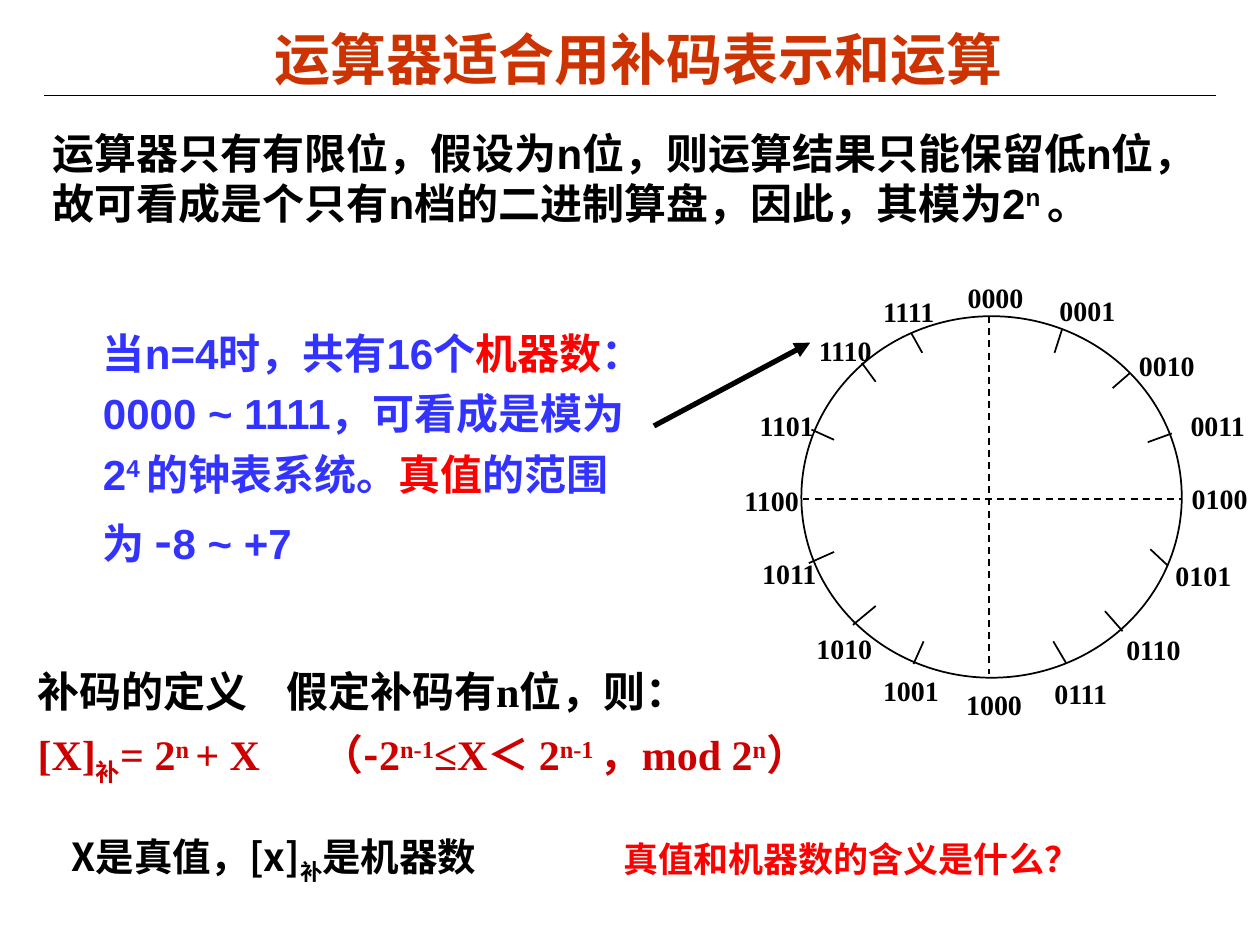
from lxml import etree
from pptx import Presentation
from pptx.dml.color import RGBColor
from pptx.enum.dml import MSO_LINE
from pptx.enum.shapes import MSO_CONNECTOR, MSO_SHAPE
from pptx.enum.text import MSO_ANCHOR, PP_ALIGN
from pptx.oxml.ns import qn
from pptx.util import Pt

STRAIGHT = MSO_CONNECTOR.STRAIGHT
OVAL = MSO_SHAPE.OVAL
DASH = MSO_LINE.DASH
CENTER = PP_ALIGN.CENTER
MIDDLE = MSO_ANCHOR.MIDDLE

SANS = "Arial"
SERIF = "Times New Roman"
CHINESE = "Noto Sans CJK SC"
BLACK, RED, BLUE = "000000", "FF0000", "3333FF"
TITLE_COLOR, FORMULA_COLOR = "CC3300", "CC0000"
SUPERSCRIPT = {"baseline": 30}
SUBSCRIPT = {"baseline": -25}

LABEL_SIZE = (46.4, 26.6)
CLOCK_LABELS = [
    (545.8, 157), (598.3, 164.2), (643.7, 195.8), (673.2, 229.7),
    (673.9, 271.4), (664.6, 315.4), (636.5, 357.8), (595.4, 383),
    (545, 389.5), (497.5, 381.6), (459.4, 357.1), (428.4, 314.6),
    (418.3, 272.9), (427, 229.7), (460.8, 187.2), (497.5, 164.9),
]
CLOCK_TICKS = [
    (602.6, 201.6, 607, 187.9), (635.8, 221.8, 645.8, 213.1),
    (655.9, 252.7, 669.6, 247.7), (657.4, 313.9, 667.4, 323.3),
    (631.4, 349.2, 641.5, 360.7), (601.9, 366.5, 609.1, 378.7),
    (522, 379.4, 527.8, 366.5), (500.4, 346.3, 487.4, 357.1),
    (476.6, 315.4, 462.2, 321.8), (476.6, 251.3, 463.7, 245.5),
    (492.5, 207.4, 500.4, 218.2), (520.6, 190.1, 527, 201.6),
]


def color(value):
    return RGBColor.from_string(value)


def add_run(paragraph, text, font=None, size=None, fill=None, baseline=None):
    run = paragraph.add_run()
    run.text = text
    if font:
        run.font.name = font
    if size:
        run.font.size = Pt(size)
    if fill:
        run.font.color.rgb = color(fill)
    properties = run._r.get_or_add_rPr()
    if baseline:
        properties.set("baseline", str(baseline * 1000))
    etree.SubElement(properties, qn("a:ea")).set("typeface", CHINESE)


def fill_paragraph(paragraph, runs, font, size, fill, tab=None):
    properties = paragraph._p.get_or_add_pPr()
    properties.set("hangingPunct", "0")
    if tab:
        tabs = etree.SubElement(properties, qn("a:tabLst"))
        etree.SubElement(tabs, qn("a:tab"), pos=str(Pt(tab)), algn="l")
    paragraph.font.name = font
    paragraph.font.size = Pt(size)
    paragraph.font.bold = True
    paragraph.font.color.rgb = color(fill)
    for text, options in runs:
        add_run(paragraph, text, **options)


def add_text(slide, box, runs, font, size, fill=BLACK, tab=None, wrap=True):
    shape = slide.shapes.add_textbox(*map(Pt, box))
    frame = shape.text_frame
    frame.word_wrap = wrap
    fill_paragraph(frame.paragraphs[0], runs, font, size, fill, tab)
    return frame


def add_line(slide, ends, width=1, dash=None, arrow=False):
    connector = slide.shapes.add_connector(STRAIGHT, *map(Pt, ends))
    connector.line.color.rgb = color(BLACK)
    connector.line.width = Pt(width)
    if dash:
        connector.line.dash_style = dash
    if arrow:
        etree.SubElement(connector.line._get_or_add_ln(), qn("a:tailEnd"), type="triangle")
    etree.SubElement(connector._element.spPr, qn("a:effectLst"))


def add_title(slide):
    add_line(slide, (25.2, 54.7, 694.8, 54.7), 0.75)
    frame = add_text(slide, (38.2, 12.2, 653.8, 42.5),
                     [("运算器适合用补码表示和运算", {})], SANS, 32, TITLE_COLOR)
    frame.vertical_anchor = MIDDLE
    frame.paragraphs[0].alignment = CENTER


def add_clock(slide):
    circle = slide.shapes.add_shape(OVAL, Pt(457.9), Pt(180.7), Pt(217.4), Pt(206.6))
    circle.shadow.inherit = False
    circle.fill.background()
    circle.line.color.rgb = color(BLACK)
    circle.line.width = Pt(1)
    add_line(slide, (458.6, 285.1, 675.4, 285.1), dash=DASH)
    add_line(slide, (565.2, 180.7, 565.2, 385.2), dash=DASH)
    for tick in CLOCK_TICKS:
        add_line(slide, tick)
    for number, position in enumerate(CLOCK_LABELS):
        add_text(slide, position + LABEL_SIZE, [(f"{number:04b}", {})], SERIF, 16, wrap=False)


def add_explanation(slide):
    add_text(slide, (23, 69.1, 681.1, 64.8), [
        ("运算器只有有限位，假设为n位，则运算结果只能保留低n位，"
         "故可看成是个只有n档的二进制算盘，因此，其模为2", {}),
        ("n ", SUPERSCRIPT),
        ("。", {}),
    ], SANS, 24)
    frame = add_text(slide, (51.8, 177.8, 333.4, 151.2), [
        ("当n=4时，共有16个", {}),
        ("机器数", {"fill": RED}),
        ("：0000 ~ 1111，可看成是模为2", {}),
        ("4 ", SUPERSCRIPT),
        ("的钟表系统。", {}),
        ("真值", {"fill": RED}),
        ("的范围为 ", {}),
        ("-", {"font": CHINESE, "size": 28}),
        ("8 ~ +7", {}),
    ], SANS, 24, BLUE)
    frame.paragraphs[0].line_spacing = 1.2
    add_line(slide, (373.7, 243.4, 463, 195.8), 3, arrow=True)


def add_definition(slide):
    frame = add_text(slide, (14.4, 376.6, 572.4, 76.3),
                     [("补码的定义\t假定补码有n位，则：", {})], SERIF, 24, tab=142)
    formula = frame.add_paragraph()
    fill_paragraph(formula, [
        ("[X]", {}),
        ("补", SUBSCRIPT),
        ("= 2", {}),
        ("n ", SUPERSCRIPT),
        ("+ X\t（", {}),
        ("-", {"font": CHINESE}),
        ("2", {}),
        ("n-1", SUPERSCRIPT),
        ("≤X＜ 2", {}),
        ("n-1 ", SUPERSCRIPT),
        ("，mod 2", {}),
        ("n", SUPERSCRIPT),
        ("）", {}),
    ], SERIF, 24, FORMULA_COLOR, tab=162.3)
    formula.space_before = Pt(7.5)
    add_text(slide, (33.8, 472.3, 258.5, 64.1), [
        ("X是真值，[x]", {}),
        ("补", SUBSCRIPT),
        ("是机器数", {}),
    ], CHINESE, 22)
    add_text(slide, (349.2, 475.2, 333.4, 31.7),
             [("真值和机器数的含义是什么？", {})], SANS, 20, RED)


def main():
    presentation = Presentation()
    presentation.slide_width = Pt(720)
    presentation.slide_height = Pt(540)
    slide = presentation.slides.add_slide(presentation.slide_layouts[6])
    add_title(slide)
    add_clock(slide)
    add_explanation(slide)
    add_definition(slide)
    presentation.save("out.pptx")


if __name__ == "__main__":
    main()
